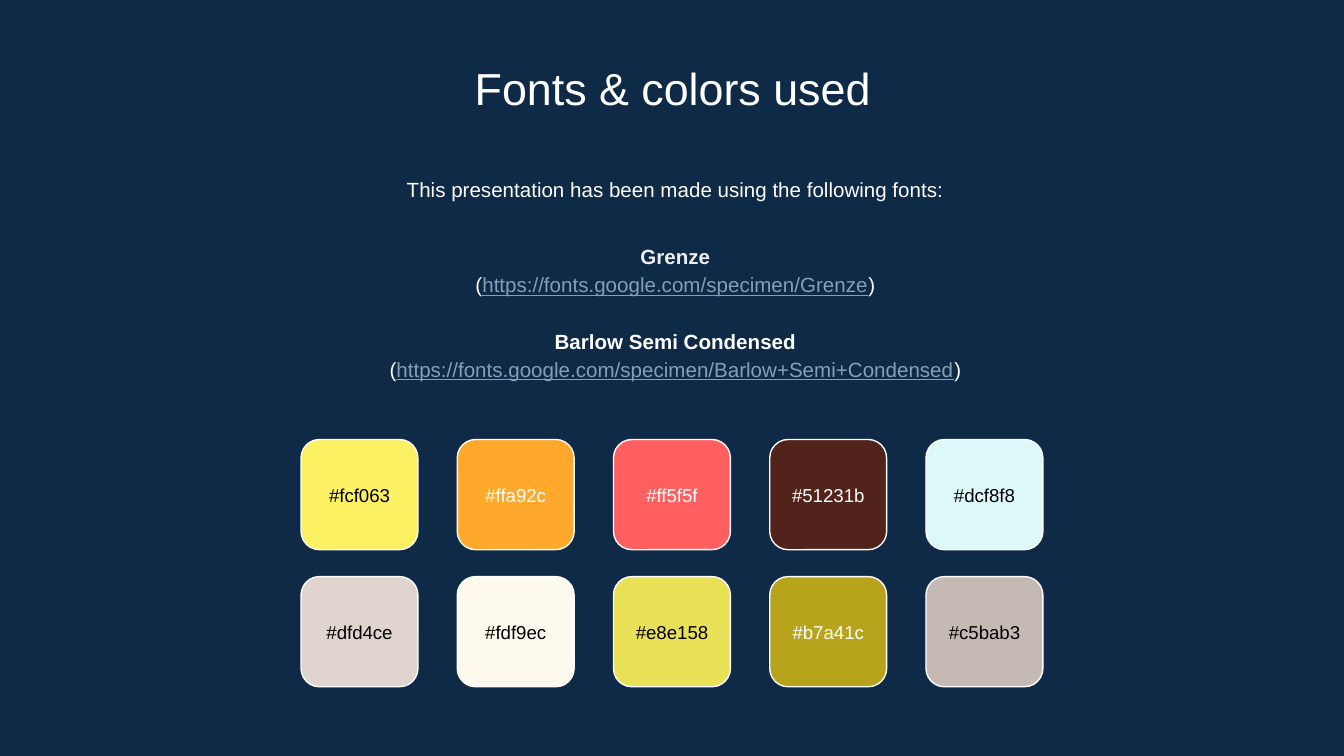
from dataclasses import dataclass
from pptx import Presentation
from pptx.dml.color import RGBColor
from pptx.enum.shapes import MSO_SHAPE
from pptx.enum.text import MSO_ANCHOR, PP_ALIGN
from pptx.util import Inches, Pt


@dataclass(frozen=True)
class Theme:
    font: str = "Arial"
    background: str = "0E2A47"
    white: str = "FFFFFF"
    black: str = "000000"
    soft_white: str = "EFEFEF"
    link: str = "869FB2"
    title: int = 24
    body: int = 11
    label: int = 10


theme = Theme()


def add_text_frame(s, left, top, width, height, anchor=MSO_ANCHOR.TOP):
    sp = s.shapes.add_textbox(Inches(left), Inches(top), Inches(width), Inches(height))
    tf = sp.text_frame
    tf.word_wrap = True
    tf.vertical_anchor = anchor
    tf.margin_left = tf.margin_right = Inches(0.1)
    tf.margin_top = tf.margin_bottom = Inches(0.1)
    tf.paragraphs[0].alignment = PP_ALIGN.CENTER
    return tf


def add_run(p, text, size, color, bold=False, underline=False):
    r = p.add_run()
    r.text = text
    r.font.name = theme.font
    r.font.size = Pt(size)
    r.font.bold = bold
    r.font.underline = underline
    r.font.color.rgb = RGBColor.from_string(color)


prs = Presentation()
prs.slide_width = Inches(10)
prs.slide_height = Inches(10 * 9 / 16)
s = prs.slides.add_slide(prs.slide_layouts[6])
s.background.fill.solid()
s.background.fill.fore_color.rgb = RGBColor.from_string(theme.background)

tf = add_text_frame(s, 1.15, 0.35, 7.71, 0.53)
add_run(tf.paragraphs[0], "Fonts & colors used", theme.title, theme.white)

tf = add_text_frame(s, 1.17, 1.19, 7.71, 0.48)
p = tf.paragraphs[0]
p.line_spacing = 1.15
add_run(p, "This presentation has been made using the following fonts:", theme.body, theme.white)

fonts = [
    ("Grenze", theme.soft_white, "https://fonts.google.com/specimen/Grenze"),
    ("Barlow Semi Condensed", theme.white, "https://fonts.google.com/specimen/Barlow+Semi+Condensed"),
]
tf = add_text_frame(s, 1.17, 1.63, 7.71, 1.37, MSO_ANCHOR.MIDDLE)
for i, (name, color, url) in enumerate(fonts):
    p = tf.add_paragraph() if i else tf.paragraphs[0]
    p.alignment = PP_ALIGN.CENTER
    p.line_spacing = 1.15
    if i:
        p.space_before = Pt(15)
    add_run(p, name, theme.body, color, bold=True)
    p = tf.add_paragraph()
    p.alignment = PP_ALIGN.CENTER
    p.line_spacing = 1.15
    add_run(p, "(", theme.body, theme.white)
    add_run(p, url, theme.body, theme.link, underline=True)
    add_run(p, ")", theme.body, theme.white)

swatches = [
    ["fcf063", "ffa92c", "ff5f5f", "51231b", "dcf8f8"],
    ["dfd4ce", "fdf9ec", "e8e158", "b7a41c", "c5bab3"],
]
white_labels = {"ffa92c", "ff5f5f", "51231b", "b7a41c"}
first_left, last_left = 2.24, 6.89
first_top, row_pitch = 3.27, 1.02
width, height, label_height = 0.87, 0.82, 0.48
for row, colors in enumerate(swatches):
    col_pitch = (last_left - first_left) / (len(colors) - 1)
    top = first_top + row * row_pitch
    for col, color in enumerate(colors):
        left = first_left + col * col_pitch
        sp = s.shapes.add_shape(
            MSO_SHAPE.ROUNDED_RECTANGLE,
            Inches(left), Inches(top), Inches(width), Inches(height))
        sp.shadow.inherit = False
        sp.fill.solid()
        sp.fill.fore_color.rgb = RGBColor.from_string(color.upper())
        sp.line.color.rgb = RGBColor.from_string(theme.white)
        sp.line.width = Pt(0.75)
        label_top = top + (height - label_height) / 2
        tf = add_text_frame(s, left, label_top, width, label_height, MSO_ANCHOR.MIDDLE)
        label_color = theme.white if color in white_labels else theme.black
        add_run(tf.paragraphs[0], f"#{color}", theme.label, label_color)

prs.save("out.pptx")
